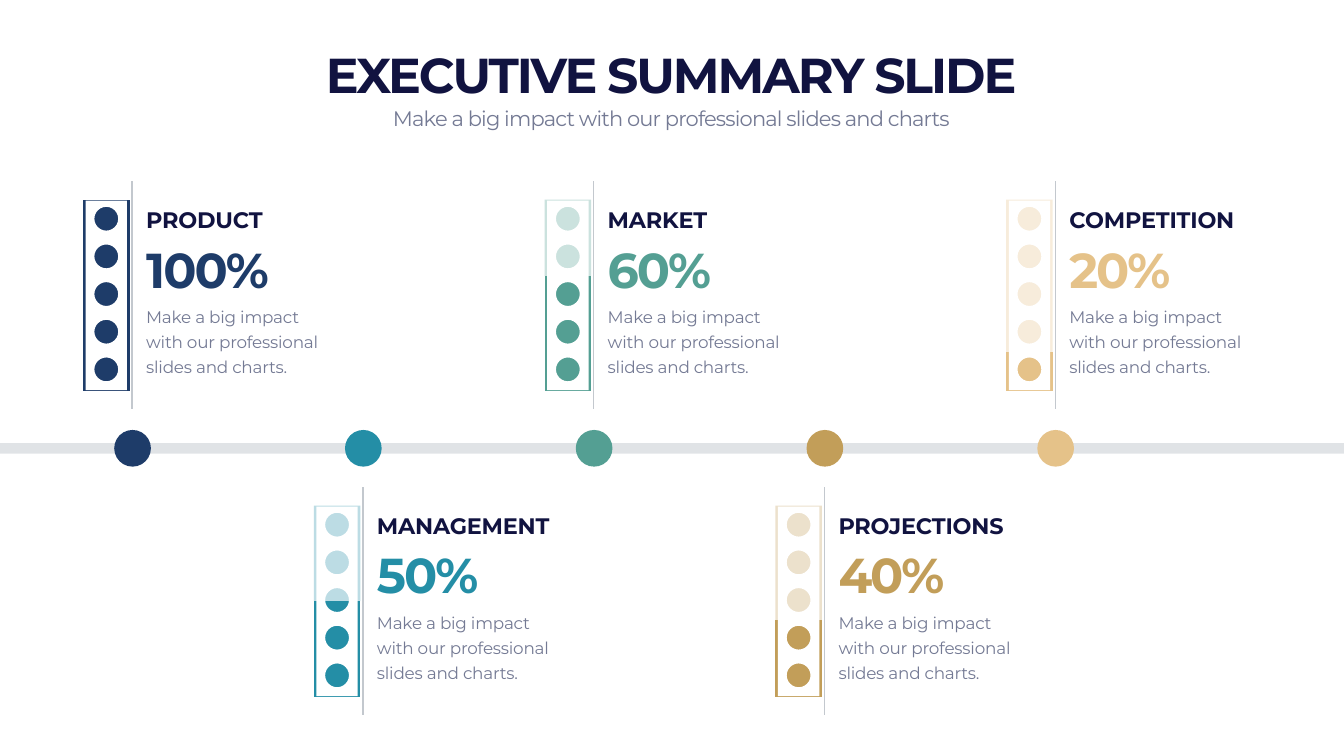
from lxml import etree
from pptx import Presentation
from pptx.chart.data import CategoryChartData
from pptx.dml.color import RGBColor
from pptx.enum.chart import XL_CHART_TYPE as ChartType
from pptx.enum.shapes import MSO_CONNECTOR as Connector, MSO_SHAPE as Shape
from pptx.enum.text import MSO_ANCHOR as Anchor, MSO_AUTO_SIZE as AutoSize, PP_ALIGN as Align
from pptx.oxml import parse_xml
from pptx.oxml.ns import nsdecls, qn
from pptx.util import Pt

# Content
TITLE = "EXECUTIVE SUMMARY SLIDE"
SUBTITLE = "Make a big impact with our professional slides and charts"
BODY = "Make a big impact with our professional slides and charts."
MILESTONES = [
    ("PRODUCT", 100, "1E3C69"),
    ("MANAGEMENT", 50, "248EA6"),
    ("MARKET", 60, "549F93"),
    ("PROJECTIONS", 40, "C29E59"),
    ("COMPETITION", 20, "E5C289"),
]
NAVY, GRAY, RULE, WHITE = "111340", "747A94", "C3C8CE", "FFFFFF"
FONT = "Montserrat"

# Layout, in points
WIDTH, HEIGHT = 1919.5, 1080
FIRST_X, STEP_X = 189.3, 329.6
TIMELINE_Y = 640.4
ROW_TOPS = (259.2, 696.3)  # milestones alternate above and below the timeline
RULE_LENGTH = 325
MARKER = 52.4
MASK_WIDTH, MASK_HEIGHT = 59, 270.7
HOLES, HOLE_RADIUS, HOLE_STEP, FIRST_HOLE = 5, 17, 53.8, 25.9
HALF_TURN = 180 * 60000

presentation = Presentation()
presentation.slide_width, presentation.slide_height = Pt(WIDTH), Pt(HEIGHT)
slide = presentation.slides.add_slide(presentation.slide_layouts[6])
shapes = slide.shapes


def rgb(color):
    return RGBColor.from_string(color)


def paint(fill, color, alpha=100):
    fill.solid()
    fill.fore_color.rgb = rgb(color)
    if alpha < 100:
        for element in fill._xPr.iter(qn("a:srgbClr")):
            etree.SubElement(element, qn("a:alpha")).set("val", str(alpha * 1000))


def plain(shape, color):
    shape.shadow.inherit = False
    paint(shape.fill, color)
    shape.line.fill.background()


def add_line(x1, y1, x2, y2, weight, alpha=100):
    line = shapes.add_connector(Connector.STRAIGHT, Pt(x1), Pt(y1), Pt(x2), Pt(y2))
    line.line.width = Pt(weight)
    paint(line.line.fill, RULE, alpha)
    etree.SubElement(line._element.spPr, qn("a:effectLst"))


def add_text(text, box, size, color, bold=False, tracking=-0.3, leading=None,
             anchor=Anchor.TOP, align=Align.LEFT):
    frame = shapes.add_textbox(*map(Pt, box)).text_frame
    frame.word_wrap = True
    frame.auto_size = AutoSize.SHAPE_TO_FIT_TEXT
    frame.vertical_anchor = anchor
    frame.text = text
    paragraph = frame.paragraphs[0]
    paragraph.alignment = align
    if leading:
        paragraph.line_spacing = Pt(leading)
    run = paragraph.runs[0]
    run.font.name, run.font.size, run.font.bold = FONT, Pt(size), bold
    run.font.color.rgb = rgb(color)
    run._r.get_or_add_rPr().set("spc", str(round(tracking * 100)))


def add_gauge(left, top, percent, color):
    data = CategoryChartData()
    data.categories = ["1"]
    data.add_series("Series 1", [percent])
    data.add_series("Series 2", [100 - percent])
    chart = shapes.add_chart(ChartType.COLUMN_STACKED_100, Pt(left), Pt(top),
                             Pt(76.3), Pt(284.4), data).chart
    chart.has_legend = chart.has_title = False
    chart.font.name, chart.font.size = "Calibri", Pt(10)
    chart.font.color.rgb = rgb(GRAY)
    chart.value_axis.has_major_gridlines = False
    chart.value_axis.visible = chart.category_axis.visible = False
    plot = chart.plots[0]
    plot.gap_width, plot.overlap, plot.vary_by_categories = 10, 100, False
    for series, alpha in zip(plot.series, (100, 30)):
        paint(series.format.fill, color, alpha)
    # Fix the plot area so that the bar frames the mask evenly
    area = chart._chartSpace.chart.plotArea
    for layout in area.findall(qn("c:layout")):
        area.remove(layout)
    area.insert(0, parse_xml(
        f'<c:layout {nsdecls("c")}><c:manualLayout><c:layoutTarget val="inner"/>'
        '<c:xMode val="edge"/><c:yMode val="edge"/><c:x val="0.02"/><c:y val="0.02"/>'
        '<c:w val="0.96"/><c:h val="0.96"/></c:manualLayout></c:layout>'))


def add_mask(left, top):
    """White panel with round holes that let the bar show through."""
    right, bottom = left + MASK_WIDTH, top + MASK_HEIGHT
    builder = shapes.build_freeform(Pt(left), Pt(top))
    corners = [(right, top), (right, bottom), (left, bottom)]
    builder.add_line_segments([(Pt(x), Pt(y)) for x, y in corners], close=True)
    mask = builder.convert_to_shape()
    plain(mask, WHITE)
    # Each hole is two half-circle arcs, measured from the panel's corner
    outline = next(mask._element.iter(qn("a:path")))
    radius = str(Pt(HOLE_RADIUS))
    for hole in range(HOLES):
        start = etree.SubElement(etree.SubElement(outline, qn("a:moveTo")), qn("a:pt"))
        start.set("x", str(Pt(MASK_WIDTH / 2 + HOLE_RADIUS)))
        start.set("y", str(Pt(FIRST_HOLE + hole * HOLE_STEP)))
        for angle in (0, HALF_TURN):
            arc = etree.SubElement(outline, qn("a:arcTo"))
            arc.set("wR", radius)
            arc.set("hR", radius)
            arc.set("stAng", str(angle))
            arc.set("swAng", str(HALF_TURN))
        etree.SubElement(outline, qn("a:close"))


# Timeline
add_line(0, TIMELINE_Y, WIDTH, TIMELINE_Y, 15, alpha=50)

# Milestones
for index, (label, percent, color) in enumerate(MILESTONES):
    x = FIRST_X + index * STEP_X
    top = ROW_TOPS[index % 2]
    plain(shapes.add_shape(Shape.OVAL, Pt(x - MARKER / 2), Pt(TIMELINE_Y - MARKER / 2),
                           Pt(MARKER), Pt(MARKER)), color)
    add_gauge(x - 75.6, top + 20.2, percent, color)
    add_mask(x - 67, top + 27.4)
    add_line(x - 0.5, top, x - 0.5, top + RULE_LENGTH, 2)
    text_x = x + 12.4
    add_text(f"{percent}%", (text_x, top + 74, 288, 95.8), 70, color, bold=True,
             tracking=-2.9, leading=94, anchor=Anchor.BOTTOM)
    add_text(label, (text_x, top + 31.2, 288, 46.1), 32, NAVY, bold=True, anchor=Anchor.BOTTOM)
    add_text(BODY, (text_x, top + 167.9, 288, 113), 24, GRAY, leading=36)

# Heading
add_text(TITLE, (118.8, 51.1, 1679.8, 99.4), 70, NAVY, bold=True, tracking=-2.9,
         leading=94, anchor=Anchor.BOTTOM, align=Align.CENTER)
add_text(SUBTITLE, (118.8, 147.6, 1679.8, 43.9), 30, GRAY, tracking=-1.2, align=Align.CENTER)

presentation.save("out.pptx")
